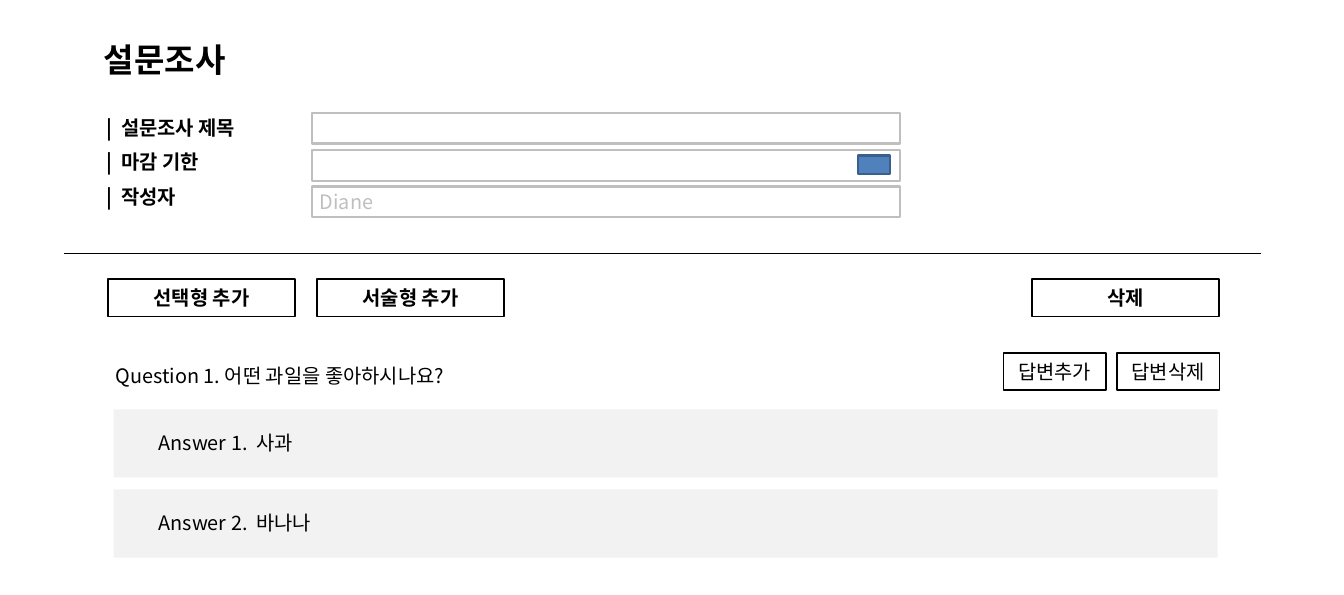
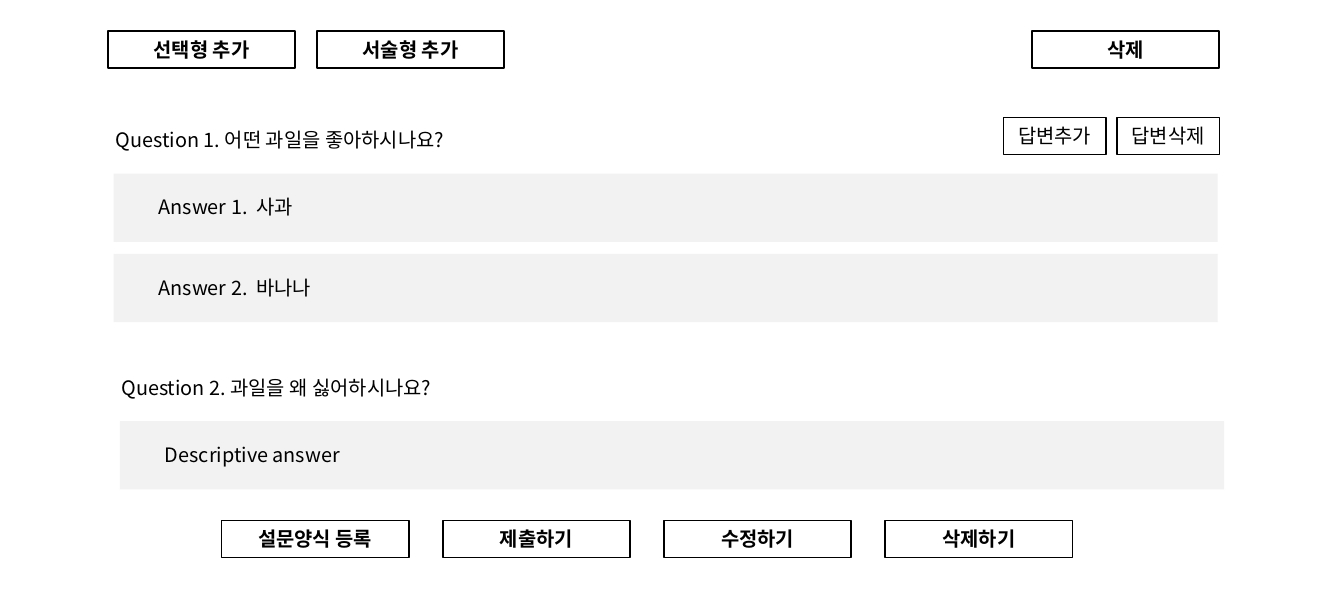
from lxml import etree
from pptx import Presentation
from pptx.dml.color import RGBColor
from pptx.enum.shapes import MSO_CONNECTOR, MSO_SHAPE
from pptx.enum.text import MSO_ANCHOR, MSO_AUTO_SIZE, PP_ALIGN
from pptx.oxml.ns import qn
from pptx.util import Inches, Pt

RECT = MSO_SHAPE.RECTANGLE
LINE = MSO_CONNECTOR.STRAIGHT
MIDDLE, TOP = MSO_ANCHOR.MIDDLE, MSO_ANCHOR.TOP
LEFT, CENTER = PP_ALIGN.LEFT, PP_ALIGN.CENTER
FIT = MSO_AUTO_SIZE.SHAPE_TO_FIT_TEXT

FONT = "Noto Sans CJK KR"
BLACK, WHITE, GRAY, PANEL = "000000", "FFFFFF", "BFBFBF", "F2F2F2"
BLUE, DARK_BLUE = "4F81BD", "3A5F8C"
BUTTON = {"line": BLACK, "weight": 1.5, "align": CENTER}
BOLD_BUTTON = {**BUTTON, "bold": True}
FIELD = {"fill": WHITE, "line": GRAY, "weight": 2, "color": GRAY}
BUTTON_W, BUTTON_H, SMALL_W = 2.36, 0.47, 1.29
PANEL_W, PANEL_H, PANEL_STEP = 13.91, 0.86, 1.01


def write(sp, text, size=18, bold=False, color=BLACK, align=LEFT, anchor=MIDDLE):
    tf = sp.text_frame
    tf.vertical_anchor = anchor
    p = tf.paragraphs[0]
    p.alignment = align
    r = p.add_run()
    r.text = text
    for name, value in {"name": FONT, "size": Pt(size), "bold": bold}.items():
        setattr(r.font, name, value)
    r.font.color.rgb = RGBColor.from_string(color)
    etree.SubElement(r.font._element, qn("a:ea")).set("typeface", FONT)


def box(s, x, y, w, h, text="", fill=None, line=None, weight=1, **style):
    sp = s.shapes.add_shape(RECT, Inches(x), Inches(y), Inches(w), Inches(h))
    sp.shadow.inherit = False
    for part, color in ((sp.fill, fill), (sp.line.fill, line)):
        if color:
            part.solid()
            part.fore_color.rgb = RGBColor.from_string(color)
        else:
            part.background()
    if line:
        sp.line.width = Pt(weight)
    if text:
        write(sp, text, **style)


prs = Presentation()
prs.slide_width, prs.slide_height = Inches(16.93), Inches(7.5)
blank = prs.slide_layouts[6]
form, survey = [prs.slides.add_slide(blank) for _ in range(2)]

title = form.shapes.add_textbox(Inches(0.42), Inches(0.23), Inches(3.31), Inches(1.03))
title.text_frame.word_wrap = True
write(title, "설문조사", size=30, bold=True, align=CENTER)

divider = form.shapes.add_connector(LINE, Inches(0.81), Inches(3.2), Inches(15.89), Inches(3.2))
divider.line.width = Pt(0.75)
divider.line.color.rgb = RGBColor.from_string(BLACK)
etree.SubElement(divider._element.spPr, qn("a:effectLst"))

for y, value in ((1.42, ""), (1.89, ""), (2.35, "Diane")):
    box(form, 3.93, y, 7.41, 0.39, value, **FIELD)
box(form, 10.81, 1.96, 0.4, 0.23, fill=BLUE, line=DARK_BLUE, weight=2)

labels = [
    (form, 1.24, 1.41, 2.06, "|  설문조사 제목", True),
    (form, 1.24, 1.84, 1.56, "|  마감 기한", True),
    (form, 1.24, 2.28, 1.22, "|  작성자", True),
    (survey, 1.43, 4.69, 4.42, "Question 2. 과일을 왜 싫어하시나요?", False),
    (survey, 1.98, 5.53, 2.43, "Descriptive answer", False),
]

for s, toolbar_y, question_y in ((form, 3.52, 4.53), (survey, 0.39, 1.56)):
    for x, text in ((1.36, "선택형 추가"), (3.99, "서술형 추가"), (13, "삭제")):
        box(s, x, toolbar_y, BUTTON_W, BUTTON_H, text, **BOLD_BUTTON)
    for x, text in ((12.64, "답변추가"), (14.07, "답변삭제")):
        box(s, x, question_y - 0.08, SMALL_W, BUTTON_H, text, **BUTTON)
    labels.append((s, 1.36, question_y, 4.85, "Question 1. 어떤 과일을 좋아하시나요?", False))
    for i, (w, text) in enumerate(((2.09, "Answer 1.  사과"), (2.34, "Answer 2.  바나나"))):
        y = question_y + 0.63 + i * PANEL_STEP
        box(s, 1.43, y, PANEL_W, PANEL_H, fill=PANEL)
        labels.append((s, 1.9, y + 0.22, w, text, False))

box(survey, 1.51, 5.31, PANEL_W, PANEL_H, fill=PANEL)
for i, text in enumerate(("설문양식 등록", "제출하기", "수정하기", "삭제하기")):
    box(survey, 2.79 + i * 2.787, 6.56, BUTTON_W, BUTTON_H, text, **BOLD_BUTTON)

for s, x, y, w, text, bold in labels:
    label = s.shapes.add_textbox(Inches(x), Inches(y), Inches(w), Inches(0.4))
    label.text_frame.word_wrap = False
    label.text_frame.auto_size = FIT
    write(label, text, bold=bold, anchor=TOP)

prs.save("out.pptx")
